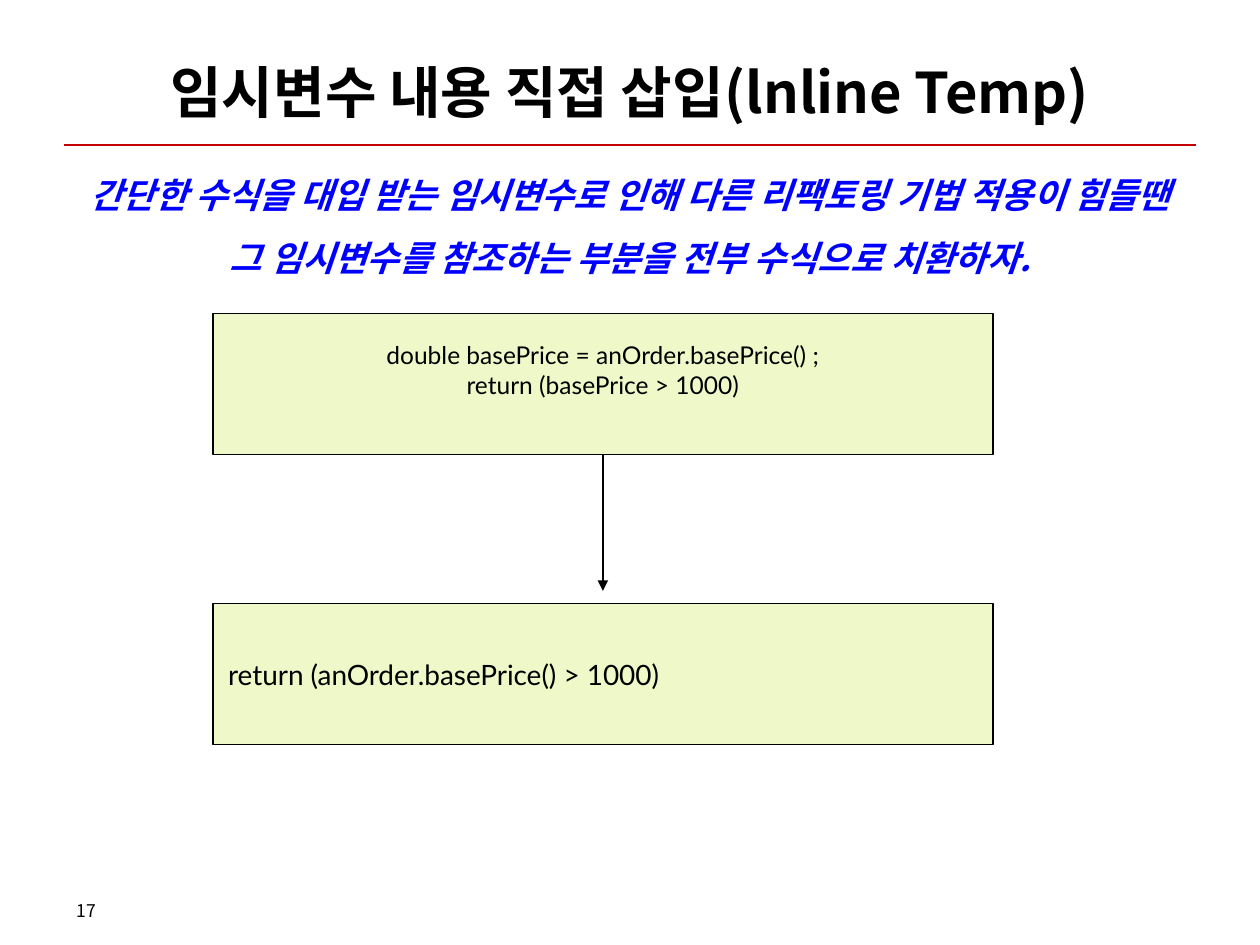
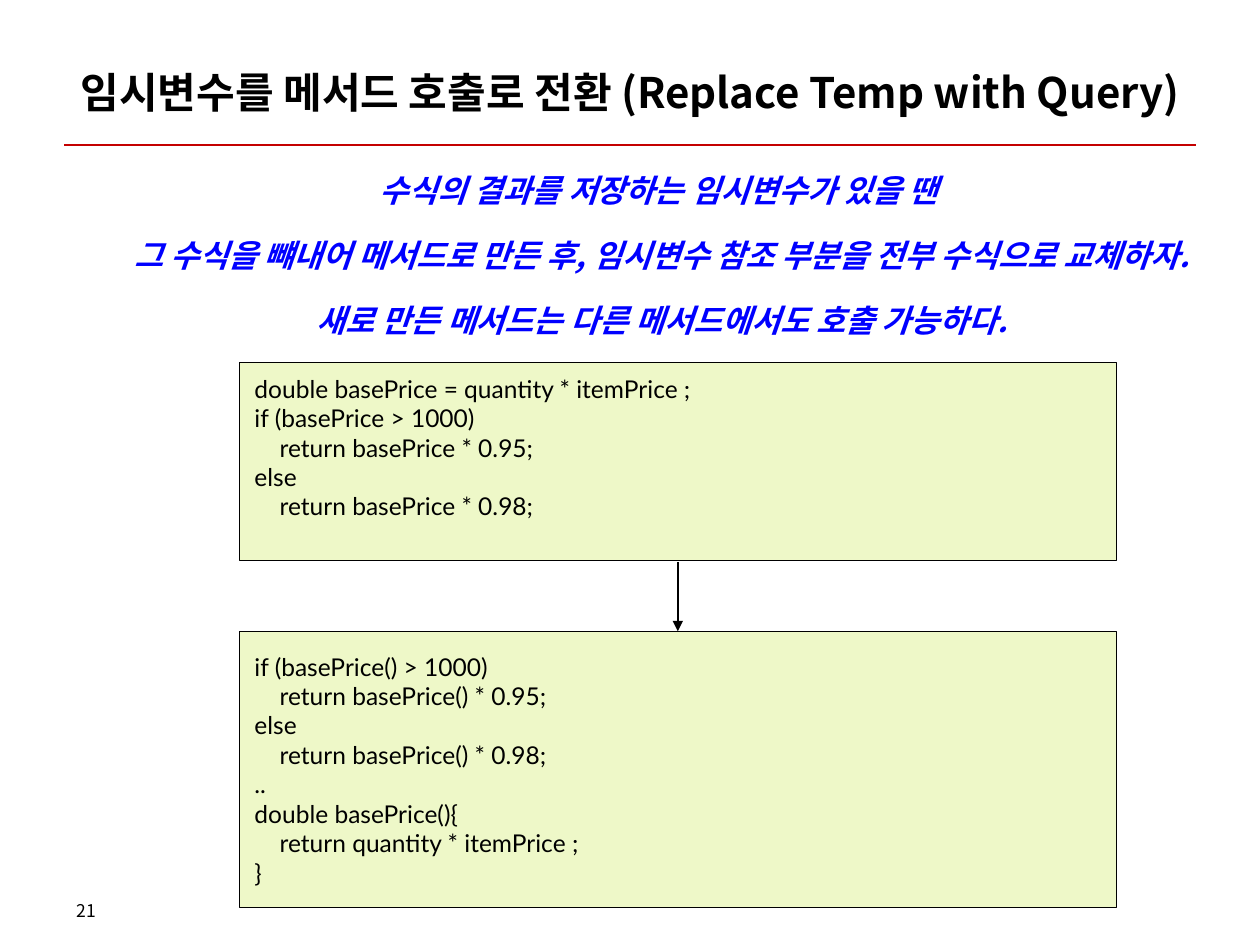
from lxml.etree import SubElement
from pptx import Presentation
from pptx.dml.color import RGBColor
from pptx.enum.shapes import MSO_CONNECTOR, MSO_SHAPE
from pptx.enum.text import MSO_ANCHOR, MSO_AUTO_SIZE, PP_ALIGN
from pptx.oxml.ns import qn
from pptx.util import Inches, Pt

BLACK = RGBColor(0x00, 0x00, 0x00)
BLUE = RGBColor(0x00, 0x00, 0xFF)
RED = RGBColor(0xC4, 0x00, 0x00)
LIGHT_GREEN = RGBColor(0xEE, 0xF8, 0xC8)
KOREAN_FONT = "Noto Sans CJK KR"
CODE_FONT = "Lato"

presentation = Presentation()
presentation.slide_width = Inches(10)
presentation.slide_height = Inches(7.5)

# Grid of 100 columns and 75 rows
COLUMN = presentation.slide_width / 100
ROW = presentation.slide_height / 75
CODE_INDENT = round(2 * COLUMN)
CODE_MARGIN_X = round(1.2 * COLUMN)
CODE_MARGIN_Y = round(0.6 * ROW)

# Each code box: top row, height in rows, size, alignment, blank rows below, lines
SLIDES = [
    {
        "number": "17",
        "title": "임시변수 내용 직접 삽입(lnline Temp)",
        "title_size": 32,
        "summary": ["간단한 수식을 대입 받는 임시변수로 인해 다른 리팩토링 기법 적용이 힘들땐 "
                    "그 임시변수를 참조하는 부분을 전부 수식으로 치환하자."],
        "summary_size": 20,
        "summary_area": (89.9, 11.7),
        "code_columns": (16.9, 61.9),
        "arrow_rows": (36.1, 46.9),
        "code_boxes": [
            (24.9, 11.2, 14, PP_ALIGN.CENTER, 2.3,
             ["double basePrice = anOrder.basePrice() ;",
              "return (basePrice > 1000)"]),
            (47.9, 11.2, 16, PP_ALIGN.LEFT, 0,
             ["return (anOrder.basePrice() > 1000)"]),
        ],
    },
    {
        "number": "21",
        "title": "임시변수를 메서드 호출로 전환 (Replace Temp with Query)",
        "title_size": 24,
        "summary": ["수식의 결과를 저장하는 임시변수가 있을 땐 ",
                    "그 수식을 뺴내어 메서드로 만든 후, 임시변수 참조 부분을 전부 수식으로 교체하자.",
                    "새로 만든 메서드는 다른 메서드에서도 호출 가능하다."],
        "summary_size": 18,
        "summary_area": (94.9, 17.2),
        "code_columns": (19, 69.6),
        "arrow_rows": (44.6, 50.1),
        "code_boxes": [
            (28.8, 15.7, 14, PP_ALIGN.LEFT, 2.3,
             ["double basePrice = quantity * itemPrice ;",
              "if (basePrice > 1000)",
              "\treturn basePrice * 0.95;",
              "else",
              "\treturn basePrice * 0.98;"]),
            (50.1, 21.9, 14, PP_ALIGN.LEFT, 0,
             ["if (basePrice() > 1000)",
              "\treturn basePrice() * 0.95;",
              "else",
              "\treturn basePrice() * 0.98;",
              "..",
              "double basePrice(){",
              "\treturn quantity * itemPrice ;",
              "}"]),
        ],
    },
]


def write_text(shape, area, lines, size, font_name, color=BLACK,
               align=PP_ALIGN.LEFT, anchor=MSO_ANCHOR.TOP, bold=False, italic=False):
    """Place a shape on the grid and fill it; a leading tab marks an indented line."""
    left, top, width, height = area
    shape.left, shape.width = round(left * COLUMN), round(width * COLUMN)
    shape.top, shape.height = round(top * ROW), round(height * ROW)
    text_frame = shape.text_frame
    text_frame.text = "\n".join(line.lstrip("\t") for line in lines)
    text_frame.word_wrap = True
    text_frame.auto_size = MSO_AUTO_SIZE.NONE
    text_frame.vertical_anchor = anchor
    for line, paragraph in zip(lines, text_frame.paragraphs):
        paragraph.alignment = align
        properties = paragraph._p.get_or_add_pPr()
        properties.set("marL", str(CODE_INDENT if line.startswith("\t") else 0))
        properties.set("indent", "0")
        SubElement(properties, qn("a:buNone"))
        for run in paragraph.runs:
            font = run.font
            font.size, font.bold, font.italic = Pt(size), bold, italic
            font.color.rgb = color
            font.name = font_name
            SubElement(font._element, qn("a:ea"), typeface=font_name)


def add_line(slide, start, end, color, arrow=False):
    """Draw a thin line between two grid points."""
    connector = slide.shapes.add_connector(
        MSO_CONNECTOR.STRAIGHT,
        round(start[0] * COLUMN), round(start[1] * ROW),
        round(end[0] * COLUMN), round(end[1] * ROW))
    connector.line.color.rgb = color
    connector.line.width = Pt(0.75)
    if arrow:
        SubElement(connector.line._get_or_add_ln(), qn("a:tailEnd"), type="triangle")
    SubElement(connector._element.spPr, qn("a:effectLst"))


for content in SLIDES:
    slide = presentation.slides.add_slide(presentation.slide_layouts[1])

    # Title and the rule below it
    add_line(slide, (5.1, 11.5), (94.9, 11.5), RED)
    write_text(slide.shapes.title, (5, 3, 90, 8.5), [content["title"]],
               content["title_size"], KOREAN_FONT,
               align=PP_ALIGN.CENTER, anchor=MSO_ANCHOR.MIDDLE, bold=True)

    # Summary of the refactoring
    summary = slide.placeholders[1]
    write_text(summary, (5.1, 11.6, *content["summary_area"]), content["summary"],
               content["summary_size"], KOREAN_FONT, BLUE,
               align=PP_ALIGN.CENTER, bold=True, italic=True)
    for paragraph in summary.text_frame.paragraphs:
        paragraph.line_spacing = 1.5
        paragraph.space_before = Pt(content["summary_size"] / 4)

    # Code before and after
    left, width = content["code_columns"]
    for top, height, size, align, blank_rows, lines in content["code_boxes"]:
        code_box = slide.shapes.add_shape(MSO_SHAPE.RECTANGLE, 0, 0, 0, 0)
        code_box.shadow.inherit = False
        code_box.fill.solid()
        code_box.fill.fore_color.rgb = LIGHT_GREEN
        code_box.line.color.rgb = BLACK
        code_box.line.width = Pt(0.75)
        write_text(code_box, (left, top, width, height), lines, size, CODE_FONT,
                   align=align, anchor=MSO_ANCHOR.MIDDLE)
        text_frame = code_box.text_frame
        text_frame.margin_left = text_frame.margin_right = CODE_MARGIN_X
        text_frame.margin_top = CODE_MARGIN_Y
        text_frame.margin_bottom = CODE_MARGIN_Y + round(blank_rows * ROW)

    # Arrow from the first code box to the second
    center = left + width / 2
    arrow_top, arrow_bottom = content["arrow_rows"]
    add_line(slide, (center, arrow_top), (center, arrow_bottom), BLACK, arrow=True)

    # Page number
    page_number = slide.shapes.add_textbox(0, 0, 0, 0)
    write_text(page_number, (5.1, 70.9, 23.3, 2.8), [content["number"]], 10, KOREAN_FONT)

presentation.save("out.pptx")
